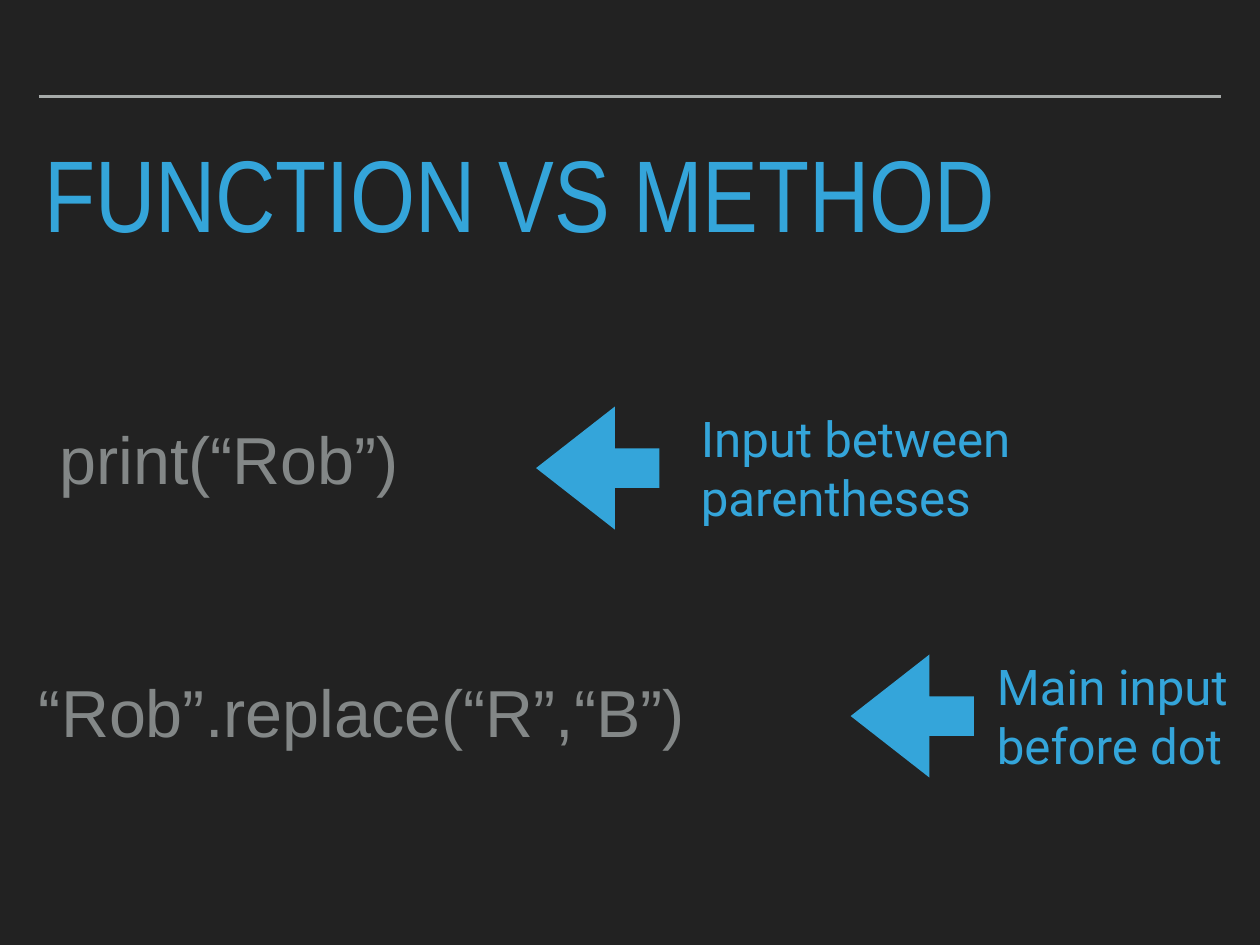
import pptx
import pptx.util
import pptx.dml.color
import pptx.enum.shapes
import pptx.enum.text
import lxml.etree

Inches, Pt = pptx.util.Inches, pptx.util.Pt
ANCHOR = pptx.enum.text.MSO_ANCHOR
COLORS = {"background": "222222", "rule": "A6AAA9", "accent": "34A5DA", "code": "838787"}
ARROW_SIZE = 1.39


def rgb(name):
    return pptx.dml.color.RGBColor.from_string(COLORS[name])


def write(sp, text, size, font, color, before=24, line=None, anchor=ANCHOR.MIDDLE):
    tf = sp.text_frame
    tf.word_wrap = True
    tf.vertical_anchor = anchor
    tf.margin_left = tf.margin_right = tf.margin_top = tf.margin_bottom = Inches(0.06)
    p = tf.paragraphs[0]
    p.alignment = pptx.enum.text.PP_ALIGN.LEFT
    p.space_before = Pt(before)
    if line:
        p.line_spacing = line
    r = p.add_run()
    r.text = text
    r.font.size = Pt(size)
    r.font.name = font
    r.font.color.rgb = rgb(color)
    return tf


def add_text(slide, text, x, y, w, h, **style):
    sp = slide.shapes.add_textbox(Inches(x), Inches(y), Inches(w), Inches(h))
    tf = write(sp, text, **style)
    tf.auto_size = pptx.enum.text.MSO_AUTO_SIZE.SHAPE_TO_FIT_TEXT


def add_header(slide, text, x, y, w):
    """Rule across the top with the title below it."""
    rule = slide.shapes.add_connector(
        pptx.enum.shapes.MSO_CONNECTOR.STRAIGHT,
        Inches(x), Inches(y), Inches(x + w), Inches(y))
    rule.line.color.rgb = rgb("rule")
    rule.line.width = Pt(2)
    lxml.etree.SubElement(rule._element.spPr, pptx.oxml.ns.qn("a:effectLst"))

    title = slide.shapes.title
    title.left, title.top = Inches(x), Inches(y + 0.59)
    title.width, title.height = Inches(w), Inches(1.28)
    tf = write(title, text, size=82.8, font="Arial Narrow", color="accent",
               before=19, line=0.8, anchor=ANCHOR.TOP)
    tf.auto_size = pptx.enum.text.MSO_AUTO_SIZE.NONE


def add_arrow(slide, x, y):
    sp = slide.shapes.add_shape(
        pptx.enum.shapes.MSO_SHAPE.RIGHT_ARROW,
        Inches(x), Inches(y), Inches(ARROW_SIZE), Inches(ARROW_SIZE))
    sp.rotation = 180
    sp.adjustments[0], sp.adjustments[1] = 0.32, 0.64
    sp.shadow.inherit = False
    sp.fill.solid()
    sp.fill.fore_color.rgb = rgb("accent")
    sp.line.fill.background()


def add_example(slide, y, code, code_x, code_y, arrow_x, note, note_x, note_w):
    """Code line, arrow pointing at it and a note, in a row that starts at y."""
    add_text(slide, code, code_x, y + code_y, 12.53, 1.01,
             size=54, font="Arial", color="code")
    add_arrow(slide, arrow_x, y + 0.13)
    add_text(slide, note, note_x, y, note_w, 1.64,
             size=40, font="Roboto", color="accent")


def main():
    prs = pptx.Presentation()
    prs.slide_width, prs.slide_height = Inches(14.22), Inches(10.67)
    slide = prs.slides.add_slide(prs.slide_layouts.get_by_name("Title Only"))
    slide.background.fill.solid()
    slide.background.fill.fore_color.rgb = rgb("background")

    add_header(slide, "FUNCTION VS METHOD", 0.44, 1.09, 13.34)
    add_example(slide, 4.46, "print(“Rob”)", 0.61, 0.2,
                6.05, "Input between parentheses", 7.85, 4.54)
    add_example(slide, 7.26, "“Rob”.replace(“R”,“B”)", 0.38, 0.26,
                9.6, "Main input before dot", 11.19, 2.89)
    prs.save("out.pptx")


if __name__ == "__main__":
    main()
